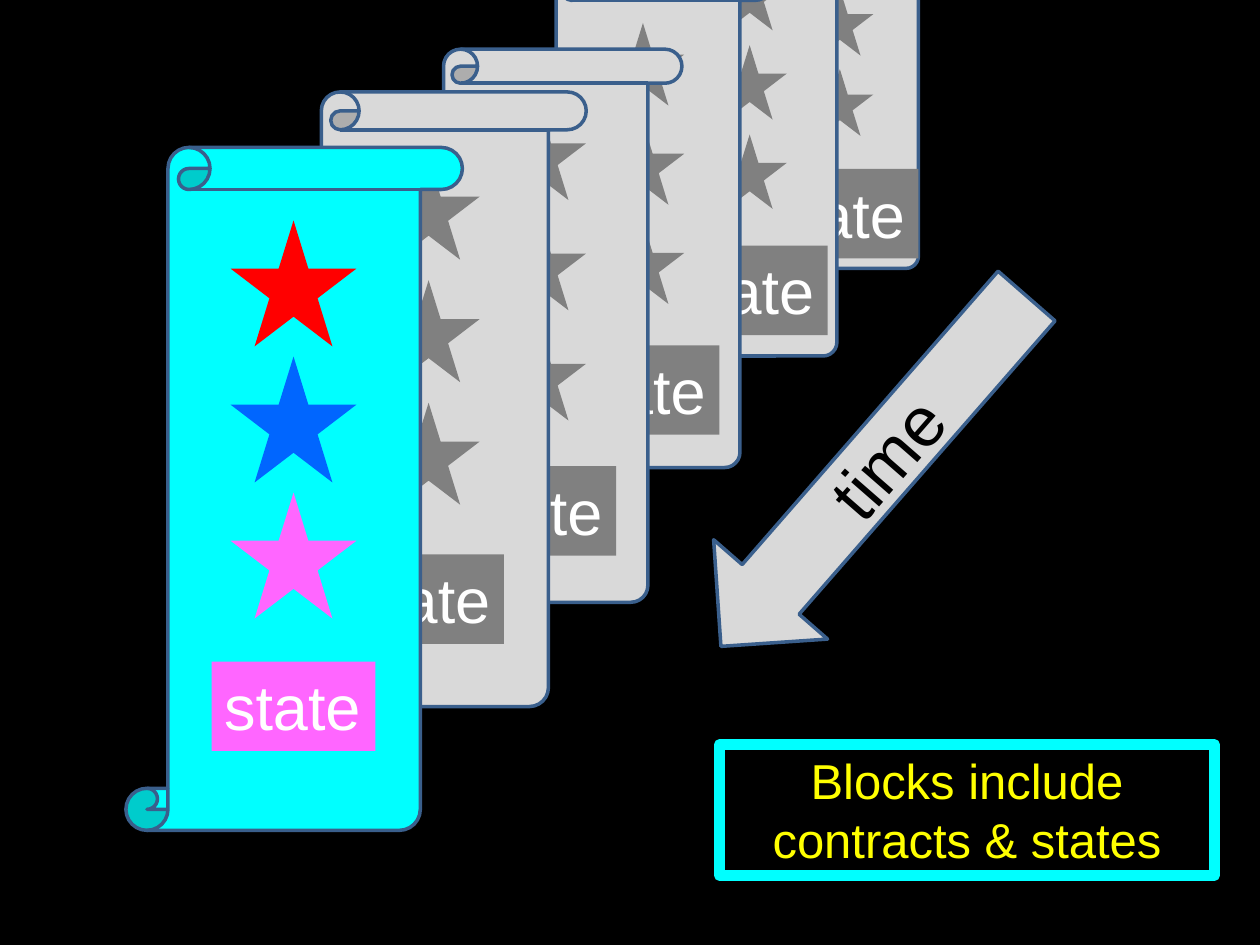
import pptx
import pptx.util
import pptx.dml.color
import pptx.enum.shapes
import pptx.enum.text

RGB = pptx.dml.color.RGBColor
KIND = pptx.enum.shapes.MSO_SHAPE
ALIGN = pptx.enum.text.PP_ALIGN
ANCHOR = pptx.enum.text.MSO_ANCHOR
SIZING = pptx.enum.text.MSO_AUTO_SIZE

BLACK = RGB(0, 0, 0)
WHITE = RGB(255, 255, 255)
CYAN = RGB(0, 255, 255)
RED = RGB(255, 0, 0)
BLUE = RGB(0, 102, 255)
PINK = RGB(255, 102, 255)
YELLOW = RGB(255, 255, 0)
PALE = RGB(217, 217, 217)
GRAY = RGB(128, 128, 128)
EDGE = RGB(58, 95, 140)

COLS, ROWS = 100, 75
CELL = pptx.util.Inches(10) // COLS
SHRINK = 0.9
OLD = [
    (59.1, -10.7, 59.9, 13.4),
    (51.1, -7.3, 52.7, 19.5),
    (41.7, -2.4, 44.1, 27.4),
    (32.5, 3.9, 35.9, 37),
    (22.5, 7.3, 27, 44),
]


def draw(slide, kind, box, fill, edge=None, weight=2):
    shape = slide.shapes.add_shape(kind, *(round(n * CELL) for n in box))
    shape.shadow.inherit = False
    shape.fill.solid()
    shape.fill.fore_color.rgb = fill
    if edge is None:
        shape.line.fill.background()
    else:
        shape.line.color.rgb = edge
        shape.line.width = pptx.util.Pt(weight)
    return shape


def write(shape, text, size, color, align=ALIGN.CENTER, anchor=ANCHOR.TOP, wrap=True):
    frame = shape.text_frame
    frame.word_wrap = wrap
    frame.vertical_anchor = anchor
    if anchor == ANCHOR.TOP:
        frame.auto_size = SIZING.SHAPE_TO_FIT_TEXT
    para = frame.paragraphs[0]
    para.alignment = align
    run = para.add_run()
    run.text = text
    run.font.name = "Arial"
    run.font.size = pptx.util.Pt(size)
    run.font.color.rgb = color


def block(slide, spot, scale, star, paper, hues, tint, align):
    left, top, tag_x, tag_y = spot
    draw(slide, KIND.VERTICAL_SCROLL, (left, top, 26.7 * scale, 54.2 * scale), paper, EDGE)
    for row, hue in enumerate(hues):
        y = top + (5.8 + 10.8 * row) * scale
        if y + star > 0:
            draw(slide, KIND.STAR_5_POINT, (left + 8.3 * scale, y, star, star), hue)
    tag = draw(slide, KIND.RECTANGLE, (tag_x, tag_y, 13, 7.1), tint)
    write(tag, "state", 36, WHITE, align, wrap=False)


def note(slide):
    box = draw(slide, KIND.RECTANGLE, (57.1, 59.1, 39.3, 10.4), BLACK, CYAN, 6)
    write(box, "Blocks include contracts & states", 28, YELLOW)


def arrow(slide):
    shape = draw(slide, KIND.RIGHT_ARROW, (50.9, 31.4, 36.9, 12), PALE, EDGE)
    shape.rotation = 311.1
    shape._element.spPr.xfrm.set("flipH", "1")
    write(shape, "time", 40, BLACK, anchor=ANCHOR.MIDDLE)


def main():
    deck = pptx.Presentation()
    deck.slide_width = COLS * CELL
    deck.slide_height = ROWS * CELL
    slide = deck.slides.add_slide(deck.slide_layouts[6])
    slide.background.fill.solid()
    slide.background.fill.fore_color.rgb = BLACK
    for index, spot in enumerate(OLD):
        scale = SHRINK ** (len(OLD) - index)
        block(slide, spot, scale, 10 * scale * SHRINK, PALE, [GRAY] * 3, GRAY, ALIGN.CENTER)
    block(slide, (10, 11.7, 16.8, 52.5), 1, 10, CYAN, [RED, BLUE, PINK], PINK, ALIGN.LEFT)
    note(slide)
    arrow(slide)
    deck.save("out.pptx")


if __name__ == "__main__":
    main()
